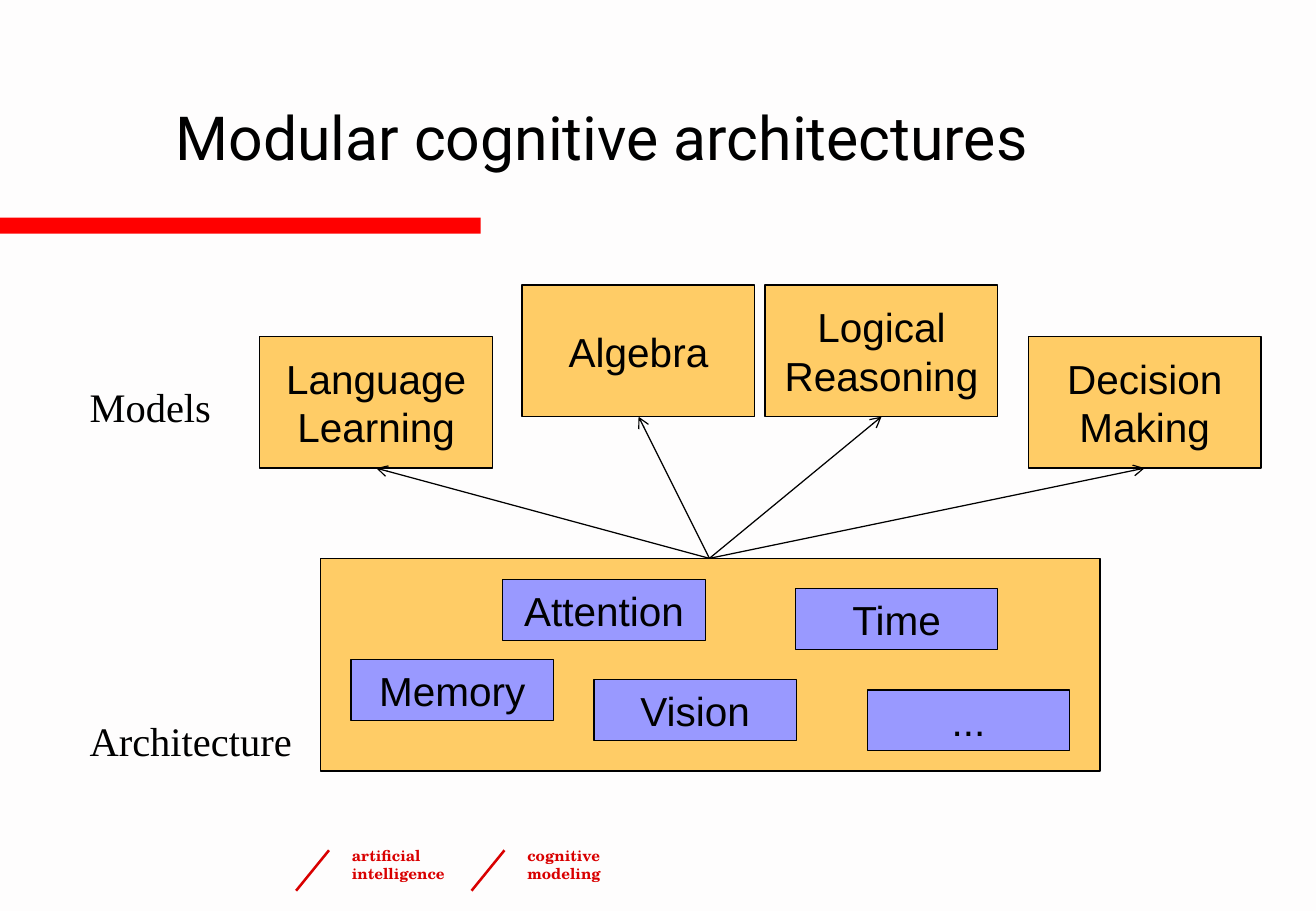
"""Build the slide on modular cognitive architectures."""
from pptx import Presentation
from pptx.dml.color import RGBColor
from pptx.enum.shapes import MSO_CONNECTOR, MSO_SHAPE
from pptx.enum.text import MSO_ANCHOR, PP_ALIGN
from pptx.oxml.ns import qn
from pptx.util import Pt
from lxml.etree import SubElement

INK = {
    "back": "FEFDFD",
    "black": "000000",
    "bar": "FF0000",
    "foot": "D90000",
    "model": "FFCC66",
    "module": "9999FF",
}


def write(shape, lines, font, size, ink="black", bold=False, align=PP_ALIGN.LEFT, anchor=MSO_ANCHOR.TOP):
    frame = shape.text_frame
    frame.word_wrap = True
    frame.vertical_anchor = anchor
    for i, line in enumerate(lines):
        para = frame.add_paragraph() if i else frame.paragraphs[0]
        para.alignment = align
        run = para.add_run()
        run.text = line
        run.font.name = font
        run.font.size = Pt(size)
        run.font.bold = bold
        run.font.color.rgb = RGBColor.from_string(INK[ink])


def link(x1, y1, x2, y2, ink, width):
    line = shapes.add_connector(MSO_CONNECTOR.STRAIGHT, Pt(x1), Pt(y1), Pt(x2), Pt(y2))
    line.line.color.rgb = RGBColor.from_string(INK[ink])
    line.line.width = Pt(width)
    SubElement(line._element.spPr, qn("a:effectLst"))
    return line


deck = Presentation()
deck.slide_width, deck.slide_height = Pt(780), Pt(540)
slide = deck.slides.add_slide(deck.slide_layouts[6])
slide.background.fill.solid()
slide.background.fill.fore_color.rgb = RGBColor.from_string(INK["back"])
shapes = slide.shapes

title = shapes.add_textbox(Pt(97), Pt(36), Pt(663), Pt(90))
write(title, ["Modular cognitive architectures"], "Roboto", 36, anchor=MSO_ANCHOR.MIDDLE)

models = [
    (154, 199.5, ["Language", "Learning"]),
    (309.5, 169, ["Algebra"]),
    (453.5, 169, ["Logical", "Reasoning"]),
    (609.5, 199.5, ["Decision", "Making"]),
]
modules = [
    (208, 391, ["Memory"]),
    (298, 343.5, ["Attention"]),
    (352, 403, ["Vision"]),
    (471.5, 349, ["Time"]),
    (514, 409, ["..."]),
]
boxes = [(0, 129, 285, 9.5, "bar", []), (190, 331, 462, 126, "model", [])]
boxes += [(x, y, 138, 78, "model", lines) for x, y, lines in models]
boxes += [(x, y, 120, 36, "module", lines) for x, y, lines in modules]
for x, y, w, h, ink, lines in boxes:
    box = shapes.add_shape(MSO_SHAPE.RECTANGLE, Pt(x), Pt(y), Pt(w), Pt(h))
    box.shadow.inherit = False
    box.fill.solid()
    box.fill.fore_color.rgb = RGBColor.from_string(INK[ink])
    if ink == "bar":
        box.line.fill.background()
    else:
        box.line.color.rgb = RGBColor.from_string(INK["black"])
        box.line.width = Pt(0.75)
    write(box, lines, "Arial", 24, align=PP_ALIGN.CENTER, anchor=MSO_ANCHOR.MIDDLE)

for x, y, lines in models:
    arrow = link(420.5, 331, x + 69, y + 78, "black", 0.75)
    SubElement(arrow.line._get_or_add_ln(), qn("a:tailEnd"), type="arrow")

for y, w, name in [(223, 96, "Models"), (421, 144, "Architecture")]:
    label = shapes.add_textbox(Pt(46), Pt(y), Pt(w), Pt(36.5))
    write(label, [name], "Times New Roman", 24)

for x, lines in [(175.5, ["artificial", "intelligence"]), (279.5, ["cognitive", "modeling"])]:
    link(x, 528, x + 19.5, 504, "foot", 1.5)
    field = shapes.add_textbox(Pt(x + 26), Pt(498), Pt(117), Pt(29))
    write(field, lines, "TeX Gyre Schola", 9, "foot", True)

deck.save("out.pptx")
